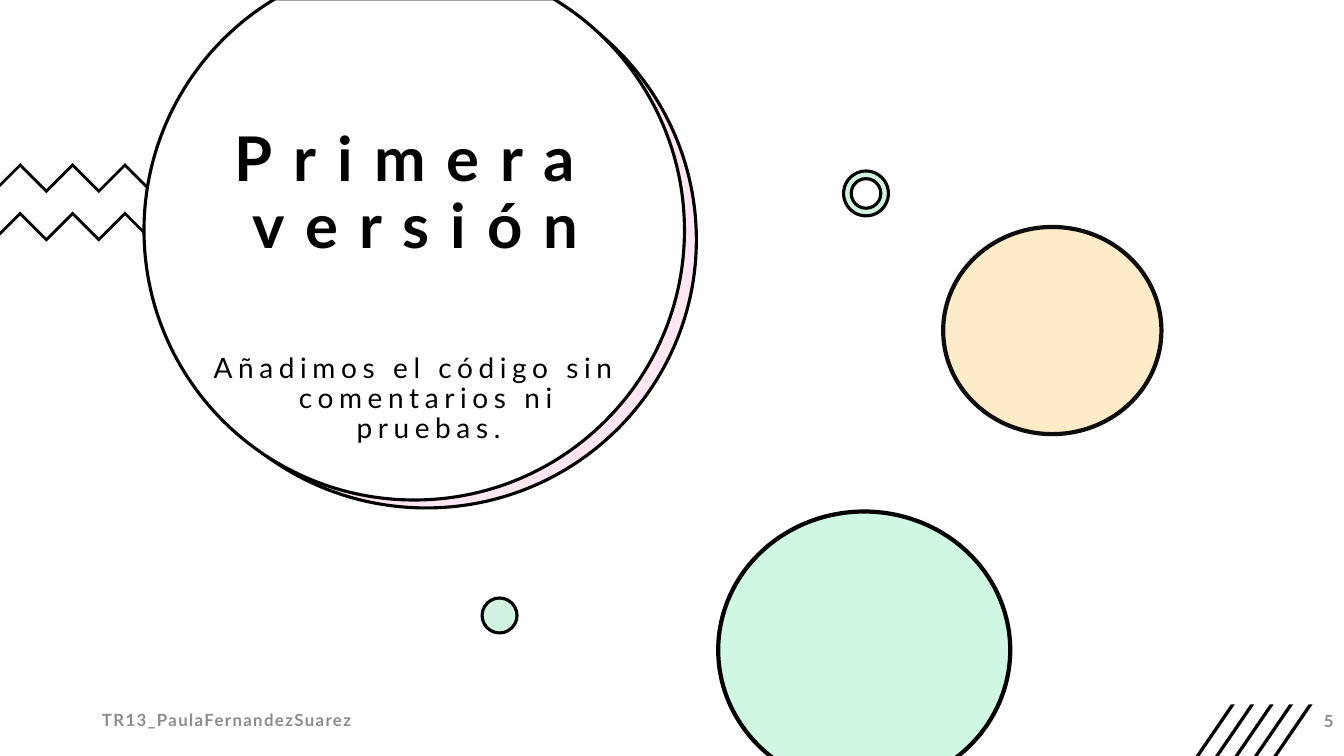
import math
from dataclasses import dataclass

import lxml.etree
import pptx
import pptx.dml.color
import pptx.enum.shapes
import pptx.enum.text
import pptx.oxml.ns
import pptx.shapes.autoshape
import pptx.slide
import pptx.util

Cm = pptx.util.Cm
Pt = pptx.util.Pt
Shape = pptx.shapes.autoshape.Shape
Slide = pptx.slide.Slide
Preset = pptx.enum.shapes.MSO_SHAPE
Align = pptx.enum.text.PP_ALIGN
Anchor = pptx.enum.text.MSO_ANCHOR
Points = list[tuple[float, float]]

COLORS = {
    "black": "000000",
    "ink": "0D0D0D",
    "white": "FFFFFF",
    "pink": "FFE6F2",
    "pale_mint": "D3F3E1",
    "mint": "CFF7E1",
    "cream": "FFEBC8",
    "gray": "8C8C8C",
}


# Lengths in centimetres, text sizes and line widths in points
@dataclass
class CutDisc:
    center_x: float
    center_y: float
    radius_x: float
    radius_y: float
    fill: str

    def point(self, angle: float, slide_along: float = 0) -> tuple[float, float]:
        """Point at an angle, moved along the tangent by a share of the radius."""
        cosine, sine = math.cos(angle), math.sin(angle)
        return (self.center_x + self.radius_x * (cosine - slide_along * sine),
                self.center_y + self.radius_y * (sine + slide_along * cosine))


@dataclass
class Round:
    left: float
    top: float
    width: float
    height: float
    fill: str
    line: str = "black"
    line_width: float = 2.25
    preset: Preset = Preset.OVAL


@dataclass
class Label:
    text: str
    left: float
    top: float
    width: float
    height: float
    size: float
    spacing: float
    color: str = "black"
    bold: bool = True
    align: Align = Align.CENTER
    anchor: Anchor = Anchor.MIDDLE
    line_spacing: float = 1.0
    space_before: float = 0
    hanging: float = 0


DISC_CUT = -0.03
DISCS = [CutDisc(10.74, 6.04, 6.81, 6.76, "pink"),
         CutDisc(10.44, 5.8, 6.81, 6.8, "white")]

RING = Round(21.26, 4.31, 1.13, 1.13, "pale_mint", preset=Preset.DONUT)
SMALL_DOT = Round(12.15, 15.07, 0.88, 0.88, "pale_mint")
BIG_ROUNDS = [
    Round(18.1, 12.89, 7.36, 6.98, "mint", line_width=3),
    Round(23.77, 5.72, 5.5, 5.22, "cream", line="ink", line_width=3),
]

LABELS = [
    Label("Primera versión", 4.89, 0.9, 11.18, 8.03, 44, 15, line_spacing=0.9),
    Label("Añadimos el código sin comentarios ni pruebas.", 4.89, 8.8, 11.18, 2.13,
          20, 4, bold=False, anchor=Anchor.TOP, line_spacing=0.9,
          space_before=10, hanging=0.64),
    Label("TR13_PaulaFernandezSuarez", 0, 17.63, 11.43, 1.02, 12, 1, "gray"),
    Label("5", 26.24, 17.65, 7.62, 1.02, 12, 1, "gray", align=Align.RIGHT),
]


def rgb(name: str) -> pptx.dml.color.RGBColor:
    return pptx.dml.color.RGBColor.from_string(COLORS[name])


def paint(shape: Shape, fill: str, line: str | None = None, width: float = 2.25) -> None:
    shape.shadow.inherit = False
    shape.fill.solid()
    shape.fill.fore_color.rgb = rgb(fill)
    if line is None:
        shape.line.fill.background()
    else:
        shape.line.color.rgb = rgb(line)
        shape.line.width = Pt(width)


def add_polygon(page: Slide, points: Points) -> Shape:
    corners = [(Cm(x), Cm(y)) for x, y in points]
    builder = page.shapes.build_freeform(*corners[0])
    builder.add_line_segments(corners[1:], close=True)
    return builder.convert_to_shape()


def add_zigzag(page: Slide, top: float) -> None:
    tooth, thickness = 0.66, 0.1
    upper = [(0, top + 0.51)]
    upper += [(0.51 + tooth * i, top + tooth * (i % 2)) for i in range(7)]
    upper.append((5.16, top + 0.69))
    lower = [(x, y + thickness) for x, y in reversed(upper)]
    paint(add_polygon(page, upper + lower), "black")


def add_cut_disc(page: Slide, disc: CutDisc) -> None:
    start = math.asin((DISC_CUT - disc.center_y) / disc.radius_y)
    angles = [start, 0, math.pi / 2, math.pi, math.pi - start]
    shape = add_polygon(page, [disc.point(angle) for angle in angles])
    paint(shape, disc.fill, "black")

    # Bend every straight side except the closing one into an arc
    qn = pptx.oxml.ns.qn
    sides = list(shape._element.iter(qn("a:lnTo")))
    for side, begin, end in zip(sides, angles, angles[1:]):
        reach = 4 / 3 * math.tan((end - begin) / 4)
        side.tag = qn("a:cubicBezTo")
        controls = [disc.point(begin, reach), disc.point(end, -reach)]
        for index, (x, y) in enumerate(controls):
            control = lxml.etree.Element(qn("a:pt"))
            control.set("x", str(Cm(x) - shape.left))
            control.set("y", str(Cm(y) - shape.top))
            side.insert(index, control)


def add_round(page: Slide, item: Round) -> None:
    shape = page.shapes.add_shape(item.preset, Cm(item.left), Cm(item.top),
                                  Cm(item.width), Cm(item.height))
    if item.preset == Preset.DONUT:
        shape.adjustments[0] = 0.17
    paint(shape, item.fill, item.line, item.line_width)


def add_stripe(page: Slide, left: float) -> None:
    top, bottom, slant, thickness = 17.75, 19.05, 0.89, 0.1
    paint(add_polygon(page, [(left, bottom), (left + thickness, bottom),
                             (left + slant + thickness, top), (left + slant, top)]), "black")


def add_label(page: Slide, label: Label) -> None:
    box = page.shapes.add_textbox(Cm(label.left), Cm(label.top),
                                  Cm(label.width), Cm(label.height))
    frame = box.text_frame
    frame.word_wrap = True
    frame.vertical_anchor = label.anchor
    para = frame.paragraphs[0]
    span = para.add_run()
    span.text = label.text
    para.alignment = label.align
    para.line_spacing = label.line_spacing
    para.space_before = Pt(label.space_before)
    para.font.name = "Lato"
    para.font.size = Pt(label.size)
    para.font.bold = label.bold
    para.font.color.rgb = rgb(label.color)
    # Letter spacing and hanging indent
    span._r.get_or_add_rPr().set("spc", str(round(label.spacing * 100)))
    if label.hanging:
        properties = para._p.get_or_add_pPr()
        properties.set("marL", str(Cm(label.hanging)))
        properties.set("indent", str(-Cm(label.hanging)))


def main() -> None:
    deck = pptx.Presentation()
    deck.slide_width, deck.slide_height = Cm(33.87), Cm(19.05)
    page = deck.slides.add_slide(deck.slide_layouts[6])

    # Background decoration
    for top in (4.11, 5.33):
        add_zigzag(page, top)
    for disc in DISCS:
        add_cut_disc(page, disc)
    for item in (RING, SMALL_DOT):
        add_round(page, item)
    for i in range(5):
        add_stripe(page, 30.13 + 0.49 * i)

    # Title, subtitle and footer
    for label in LABELS:
        add_label(page, label)

    # Large coloured rounds
    for item in BIG_ROUNDS:
        add_round(page, item)

    deck.save("out.pptx")


if __name__ == "__main__":
    main()
